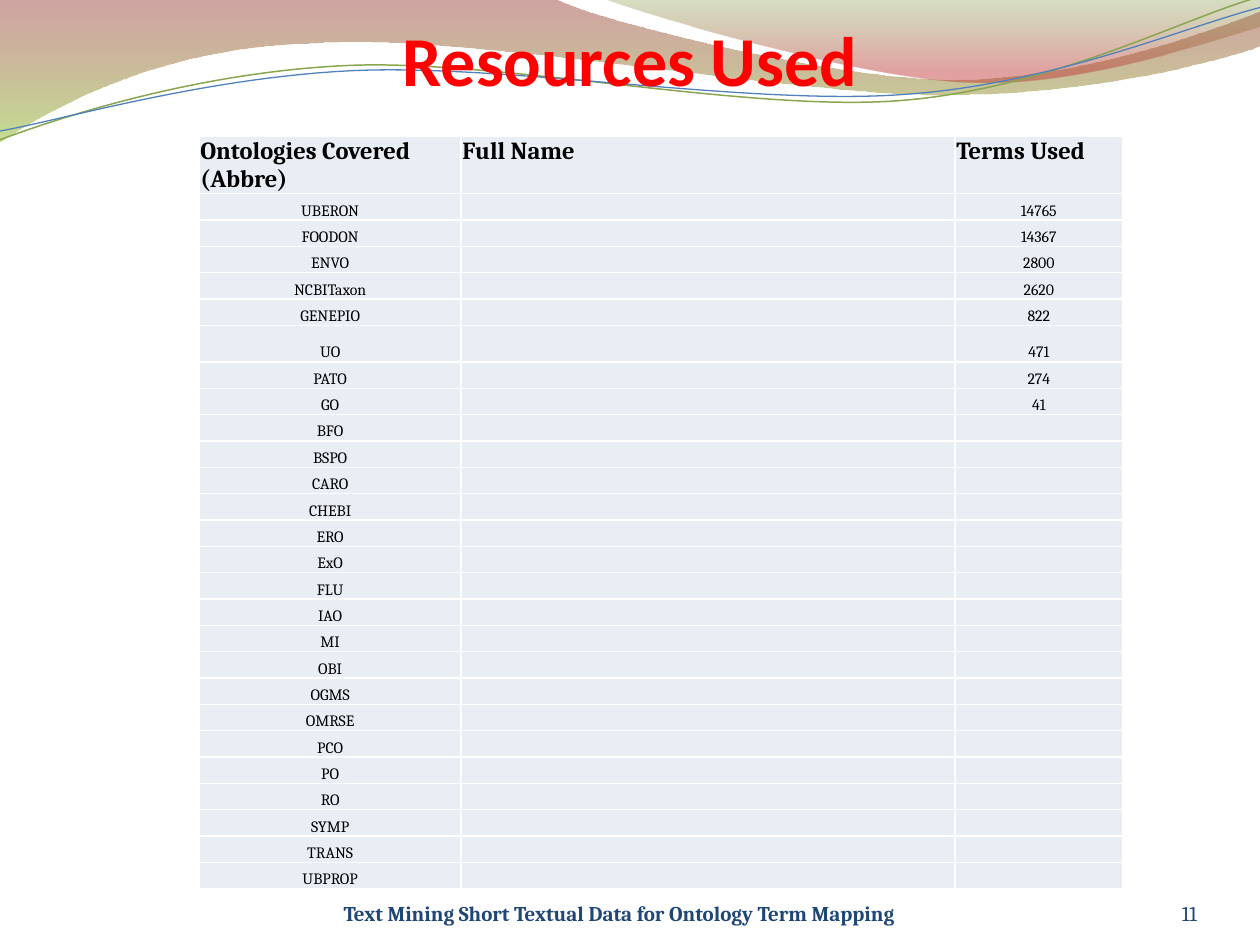
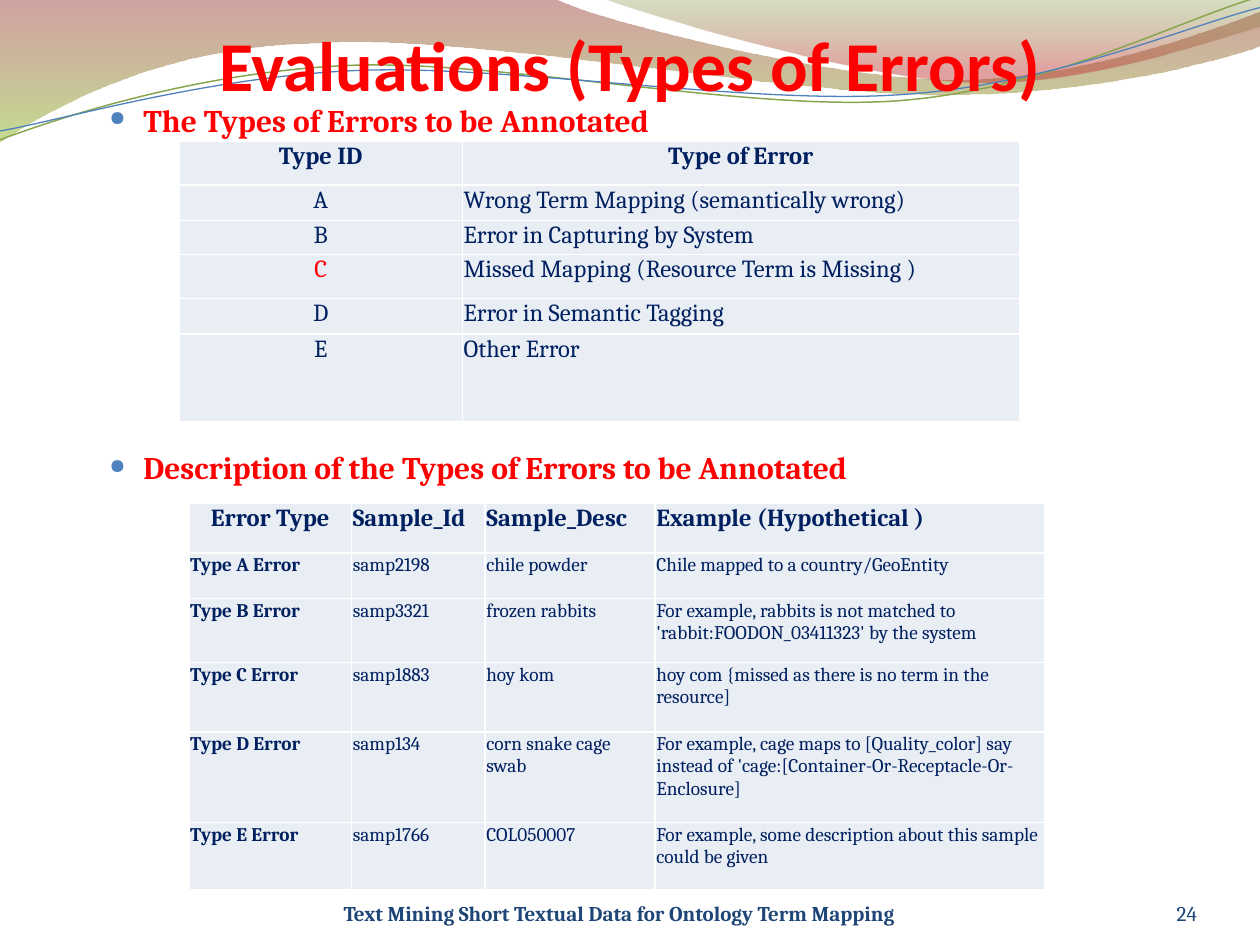
from lxml.etree import SubElement
from pptx import Presentation
from pptx.dml.color import RGBColor
from pptx.enum.text import MSO_ANCHOR, MSO_AUTO_SIZE, PP_ALIGN
from pptx.oxml import parse_xml
from pptx.oxml.ns import nsdecls, qn
from pptx.util import Inches, Pt

RED, NAVY, FOOTER_BLUE, BLACK = "FF0000", "002060", "1E4677", "000000"
BLUE, GREEN, WHITE, CELL = "4F81BD", "89A54F", "FFFFFF", "E9EDF4"
FOOTER = "Text Mining Short Textual Data for Ontology Term Mapping"
LEFT, CENTER, RIGHT = PP_ALIGN.LEFT, PP_ALIGN.CENTER, PP_ALIGN.RIGHT

# Header waves: start point, then lines (2 numbers) or Bezier curves (6 numbers)
BANDS = [
    ((0, 0), [(4.4, -0.01), (4.76, 0.17, 6.64, 0.63, 7.58, 0.63),
              (8.53, 0.63, 9.58, 0.26, 10, 0.09), (10.01, 0.36),
              (9.83, 0.44, 8.7, 0.76, 7.46, 0.75),
              (6.22, 0.75, 3.82, 0.28, 2.57, 0.34),
              (1.29, 0.36, 0.46, 0.83, -0.01, 1.13), (0, 0)],
     [(0, "973330", 45), (100, "95C238", 55)]),
    ((4.79, -0.01), [(5.09, 0.11, 6.82, 0.62, 7.69, 0.65),
                     (8.56, 0.69, 9.61, 0.32, 10, 0.21), (10, 0), (4.79, -0.01)],
     [(0, "769537", 30), (80, "BE3330", 45)]),
]
WAVES = [
    ((0, 1.11), [(0.48, 0.93, 1.58, 0.57, 2.77, 0.52),
                 (3.95, 0.47, 5.93, 0.89, 7.13, 0.8),
                 (8.33, 0.71, 9.38, 0.15, 9.98, -0.02)], GREEN, 0.85),
    ((0, 1.04), [(0.47, 0.96, 1.64, 0.61, 2.83, 0.56),
                 (4.03, 0.51, 5.97, 0.84, 7.17, 0.75),
                 (8.36, 0.67, 9.41, 0.21, 10, 0.06)], BLUE, 0.75),
]

TERMS_USED = {"UBERON": 14765, "FOODON": 14367, "ENVO": 2800, "NCBITaxon": 2620,
              "GENEPIO": 822, "UO": 471, "PATO": 274, "GO": 41}
UNCOUNTED = ("BFO BSPO CARO CHEBI ERO ExO FLU IAO MI OBI OGMS OMRSE "
             "PCO PO RO SYMP TRANS UBPROP").split()

ERROR_TYPES = [
    ("Type ID", "Type of Error"),
    ("A", "Wrong Term Mapping (semantically wrong)"),
    ("B", "Error in Capturing by System"),
    ("C", "Missed Mapping (Resource Term is Missing )"),
    ("D", "Error in Semantic Tagging"),
    ("E", "Other Error"),
]
ERROR_SAMPLES = [
    ("Error Type", "Sample_Id", "Sample_Desc", "Example (Hypothetical )"),
    ("Type A Error", "samp2198", "chile powder", "Chile mapped to a country/GeoEntity"),
    ("Type B Error", "samp3321", "frozen rabbits",
     "For example, rabbits is not matched to 'rabbit:FOODON_03411323' by the system"),
    ("Type C Error", "samp1883", "hoy kom",
     "hoy com {missed as there is no term in the resource]"),
    ("Type D Error", "samp134", "corn snake cage swab",
     "For example, cage maps to [Quality_color] say instead of "
     "'cage:[Container-Or-Receptacle-Or-Enclosure]"),
    ("Type E Error", "samp1766", "COL050007",
     "For example, some description about this sample could be given"),
]


def rgb(value):
    return RGBColor.from_string(value)


def set_attrs(obj, **values):
    for name, value in values.items():
        setattr(obj, name, value)


def write(p, text, size, color, bold=False, align=LEFT, font="Cambria"):
    p.alignment = align
    r = p.add_run()
    r.text = text
    set_attrs(r.font, name=font, size=Pt(size), bold=bold)
    r.font.color.rgb = rgb(color)


def set_frame(tf, insets, anchor):
    left, top, right, bottom = (Inches(v) for v in insets)
    set_attrs(tf, word_wrap=True, auto_size=MSO_AUTO_SIZE.NONE, vertical_anchor=anchor,
              margin_left=left, margin_top=top, margin_right=right, margin_bottom=bottom)


def add_text(s, box, insets=(0, 0, 0, 0), anchor=MSO_ANCHOR.BOTTOM):
    tf = s.shapes.add_textbox(*(Inches(v) for v in box)).text_frame
    set_frame(tf, insets, anchor)
    return tf


# Header waves, kept on the master
def add_outline(s, start, segments, close):
    """Draw every point as a line, then join each three points of a curve."""
    points = [(Inches(seg[i]), Inches(seg[i + 1]))
              for seg in segments for i in range(0, len(seg), 2)]
    builder = s.shapes.build_freeform(Inches(start[0]), Inches(start[1]))
    builder.add_line_segments(points, close=close)
    sp = builder.convert_to_shape()
    sp.shadow.inherit = False
    lines = list(sp._element.iter(qn("a:lnTo")))
    for seg in segments:
        parts, lines = lines[:len(seg) // 2], lines[len(seg) // 2:]
        if len(parts) == 3:
            curve = parse_xml(f'<a:cubicBezTo {nsdecls("a")}/>')
            parts[0].addprevious(curve)
            for part in parts:
                curve.append(part[0])
                part.getparent().remove(part)
    return sp


def fade(sp, stops):
    """Fill a shape with a vertical gradient of (position, colour, opacity) stops."""
    gs = "".join(f'<a:gs pos="{pos * 1000}"><a:srgbClr val="{color}">'
                 f'<a:alpha val="{alpha * 1000}"/></a:srgbClr></a:gs>'
                 for pos, color, alpha in stops)
    grad = parse_xml(f'<a:gradFill {nsdecls("a")} rotWithShape="1"><a:gsLst>{gs}</a:gsLst>'
                     '<a:lin ang="5400000" scaled="0"/></a:gradFill>')
    sp._element.spPr.find(qn("a:custGeom")).addnext(grad)


def add_header(prs):
    s = prs.slides[0]
    outlines = []
    for start, segments, stops in BANDS:
        sp = add_outline(s, start, segments, True)
        fade(sp, stops)
        sp.line.fill.background()
        outlines.append(sp)
    for start, segments, color, width in WAVES:
        sp = add_outline(s, start, segments, False)
        sp.fill.background()
        sp.line.color.rgb = rgb(color)
        sp.line.width = Pt(width)
        outlines.append(sp)
    # Only slides can build freeforms, so move them behind the master's placeholders
    for i, sp in enumerate(outlines):
        sp._element.nvSpPr.cNvPr.set("id", str(100 + i))
        prs.slide_master.shapes._spTree.insert(2 + i, sp._element)


# Title, footer and page number of every slide
def new_slide(prs, title, title_top, number):
    s = prs.slides.add_slide(prs.slide_layouts[5])
    sp = s.shapes.title
    set_attrs(sp, left=Inches(0.5), top=Inches(title_top),
              width=Inches(9), height=Inches(0.58))
    set_frame(sp.text_frame, (0, 0.05, 0, 0), MSO_ANCHOR.BOTTOM)
    write(sp.text_frame.paragraphs[0], title, 40, RED, True, CENTER, "Calibri")

    write(add_text(s, (8.67, 6.95, 0.83, 0.4)).paragraphs[0],
          str(number), 12, FOOTER_BLUE, align=RIGHT)
    write(add_text(s, (0.5, 6.95, 8.83, 0.4)).paragraphs[0],
          FOOTER, 12, FOOTER_BLUE, True, CENTER)
    return s


# Tables
def format_cell(cell, anchor):
    set_attrs(cell, margin_left=Inches(0.01), margin_right=Inches(0.01),
              margin_top=Inches(0.01), margin_bottom=0, vertical_anchor=anchor)
    cell.fill.solid()
    cell.fill.fore_color.rgb = rgb(CELL)
    tcPr = cell._tc.get_or_add_tcPr()
    for i, side in enumerate(("lnL", "lnR", "lnT", "lnB")):
        tcPr.insert(i, parse_xml(
            f'<a:{side} {nsdecls("a")} w="12700"><a:solidFill>'
            f'<a:srgbClr val="{WHITE}"/></a:solidFill></a:{side}>'))


def add_grid(s, left, top, widths, heights, rows, style, body_anchor=MSO_ANCHOR.TOP):
    """Draw rows as a table; style(row, column) gives the text format of a cell."""
    box = (left, top, sum(widths), sum(heights))
    table = s.shapes.add_table(len(rows), len(widths), *(Inches(v) for v in box)).table
    set_attrs(table, first_row=False, horz_banding=False)
    for column, width in zip(table.columns, widths):
        column.width = Inches(width)
    for i, (row, height) in enumerate(zip(rows, heights)):
        table.rows[i].height = Inches(height)
        for j, text in enumerate(row):
            cell = table.cell(i, j)
            format_cell(cell, body_anchor if i else MSO_ANCHOR.TOP)
            p = cell.text_frame.paragraphs[0]
            fmt = style(i, j)
            if text:
                write(p, text, **fmt)
            else:  # keep empty cells from stretching their row
                SubElement(p._p, qn("a:endParaRPr"), sz=str(fmt["size"] * 100))


def ontology_style(i, j):
    return dict(size=9 if i else 14, color=BLACK, bold=i == 0, align=CENTER if i else LEFT)


def type_style(i, j):
    return dict(size=14, color=RED if (i, j) == (3, 0) else NAVY, bold=i == 0,
                align=CENTER if i == 0 or j == 0 else LEFT)


def sample_style(i, j):
    return dict(size=11 if i else 14, color=NAVY, bold=i == 0 or j == 0,
                align=CENTER if i == j == 0 else LEFT)


# Bulleted headings, given as (text, space before in points)
def add_headings(s, box, headings):
    tf = add_text(s, box, (0.1, 0.05, 0.1, 0.05), MSO_ANCHOR.TOP)
    for i, (text, gap) in enumerate(headings):
        p = tf.add_paragraph() if i else tf.paragraphs[0]
        write(p, text, 18, RED, True)
        p.space_before = Pt(gap)
        pPr = p._p.get_or_add_pPr()
        pPr.set("marL", str(Inches(0.7)))
        pPr.set("indent", str(Inches(-0.27)))
        SubElement(SubElement(pPr, qn("a:buClr")), qn("a:srgbClr"), val=BLUE)
        SubElement(pPr, qn("a:buSzPct"), val="65000")
        SubElement(pPr, qn("a:buChar"), char="●")


def resources_slide(prs):
    s = new_slide(prs, "Resources Used", 0.22, 11)
    rows = [("Ontologies Covered (Abbre)", "Full Name", "Terms Used")]
    rows += [(name, "", str(count)) for name, count in TERMS_USED.items()]
    rows += [(name, "", "") for name in UNCOUNTED]
    header, tall = 0.45, 0.29
    plain = (5.97 - header - tall) / (len(rows) - 2)
    heights = [header] + [tall if row[0] == "UO" else plain for row in rows[1:]]
    add_grid(s, 1.58, 1.08, (2.08, 3.92, 1.33), heights, rows,
             ontology_style, MSO_ANCHOR.BOTTOM)


def errors_slide(prs):
    s = new_slide(prs, "Evaluations (Types of Errors)", 0.26, 24)
    add_headings(s, (0.34, 0.75, 9, 6.2),
                 [("The Types of Errors to be Annotated", 0),
                  ("Description of the Types of Errors to be Annotated", 177)])
    add_grid(s, 1.42, 1.12, (2.25, 4.42), (0.35, 0.28, 0.27, 0.35, 0.28, 0.7),
             ERROR_TYPES, type_style)
    add_grid(s, 1.5, 3.99, (1.29, 1.06, 1.35, 3.09),
             (0.4, 0.36, 0.51, 0.55, 0.72, 0.53), ERROR_SAMPLES, sample_style)


def main():
    prs = Presentation()
    set_attrs(prs, slide_width=Inches(10), slide_height=Inches(7.5))
    resources_slide(prs)
    errors_slide(prs)
    add_header(prs)
    prs.save("out.pptx")


if __name__ == "__main__":
    main()
